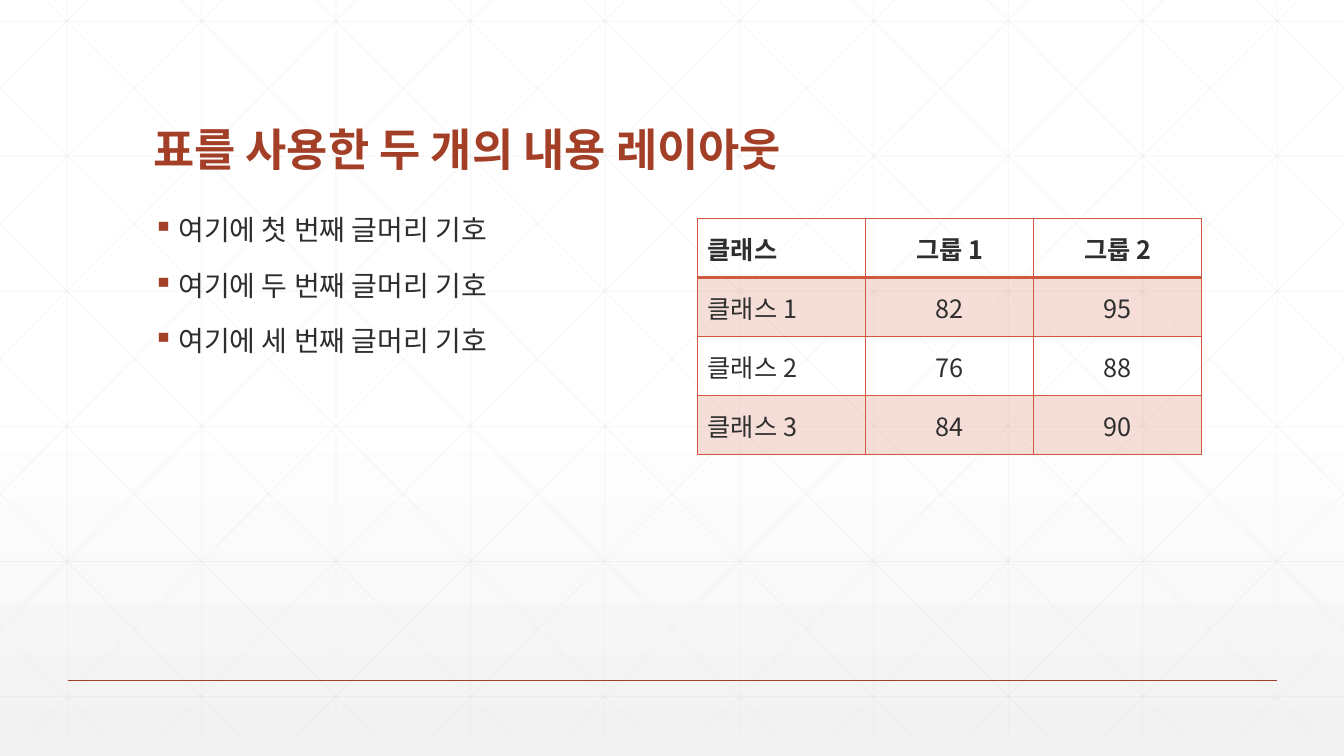
from copy import deepcopy
from dataclasses import dataclass

from pptx import Presentation
from pptx.dml.color import RGBColor
from pptx.enum.shapes import MSO_CONNECTOR
from pptx.enum.text import MSO_ANCHOR, PP_ALIGN
from pptx.oxml.ns import qn
from pptx.oxml.xmlchemy import OxmlElement
from pptx.util import Inches, Pt

STRAIGHT = MSO_CONNECTOR.STRAIGHT
TOP, MIDDLE, BOTTOM = MSO_ANCHOR.TOP, MSO_ANCHOR.MIDDLE, MSO_ANCHOR.BOTTOM
LEFT, CENTER = PP_ALIGN.LEFT, PP_ALIGN.CENTER


@dataclass(frozen=True)
class Theme:
    font: str = "Noto Sans CJK KR"
    brand: str = "A43F27"
    edge: str = "D15A3E"
    ink: str = "2D2E2D"
    mesh: str = "D9D9D9"
    white: str = "FFFFFF"
    grey: str = "F2F2F2"
    title: int = 32
    body: int = 20
    cell: int = 18


THEME = Theme()
WIDE, HIGH = 13.33, 7.5
STEP = 4 / 3


def add(parent, tag, **attrs):
    node = OxmlElement(tag)
    for key, value in attrs.items():
        node.set(key, str(value))
    parent.append(node)
    return node


def fade(node, percent):
    color = next(node.iter(qn("a:srgbClr")))
    add(color, "a:alpha", val=percent * 1000)


def style(para, size, color, bold=False):
    font = para.font
    font.name, font.size, font.bold = THEME.font, Pt(size), bold
    font.color.rgb = RGBColor.from_string(color)
    add(font._rPr, "a:ea", typeface=THEME.font)


def rule(slide, ends, color, width, alpha=None):
    line = slide.shapes.add_connector(STRAIGHT, *map(Inches, ends))
    line.line.color.rgb = RGBColor.from_string(color)
    line.line.width = Pt(width)
    props = line._element.spPr
    if alpha:
        fade(props, alpha)
    add(props, "a:effectLst")


def draw_back(slide):
    fill = slide.background.fill
    fill.gradient()
    fill.gradient_angle = 270
    stops = next(slide._element.iter(qn("a:gsLst")))
    stops.insert(1, deepcopy(stops[0]))
    plan = (0, THEME.white), (0.53, THEME.white), (1, THEME.grey)
    for stop, (place, color) in zip(fill.gradient_stops, plan):
        stop.position = place
        stop.color.rgb = RGBColor.from_string(color)
    fade(stops[-1], 65)


def draw_mesh(slide, box):
    left, top, width, height = box
    right, base = left + width, top + height
    run = 7.46
    lines = []
    for i in range(10):
        x = left + STEP * (i + 0.5)
        lines.append((x, top, x, base))
    for i in range(6):
        y = top + 0.42 + 1.34 * i
        lines.append((left, y, right, y))
    for i in range(-5, 10):
        start = left + 0.25 + STEP * i
        x1, x2 = max(start, left), min(start + run, right)
        y1, y2 = (top + (x - start) * height / run for x in (x1, x2))
        lines.append((x1, y1, x2, y2))
        lines.append((left + right - x1, y1, left + right - x2, y2))
    for ends in lines:
        rule(slide, ends, THEME.mesh, 0.5, 25)


def text_box(slide, box, anchor):
    frame = slide.shapes.add_textbox(*map(Inches, box)).text_frame
    frame.word_wrap = True
    frame.vertical_anchor = anchor
    return frame


def draw_title(slide, box, text):
    para = text_box(slide, box, BOTTOM).paragraphs[0]
    para.text = text
    para.line_spacing = 0.9
    style(para, THEME.title, THEME.brand, True)


def draw_list(slide, box, items):
    frame = text_box(slide, box, TOP)
    frame.text = "\n".join(items)
    for para in frame.paragraphs:
        para.line_spacing = 0.9
        para.space_before = Pt(18)
        props = para._p.get_or_add_pPr()
        props.set("marL", str(Inches(0.25)))
        props.set("indent", str(Inches(-0.25)))
        add(add(props, "a:buClr"), "a:srgbClr", val=THEME.brand)
        add(props, "a:buChar", char="▪")
        style(para, THEME.body, THEME.ink)


def draw_edge(cell, side, width):
    line = add(cell._tc.get_or_add_tcPr(), "a:ln" + side, w=Pt(width))
    add(add(line, "a:solidFill"), "a:srgbClr", val=THEME.edge)


def draw_cell(cell, text, row, col):
    cell.text = text
    cell.vertical_anchor = MIDDLE
    para = cell.text_frame.paragraphs[0]
    para.alignment = CENTER if col else LEFT
    style(para, THEME.cell, THEME.ink, row == 0)
    for side in "LRTB":
        thick = (row, side) in ((0, "B"), (1, "T"))
        draw_edge(cell, side, 2 if thick else 1)
    if row % 2:
        cell.fill.solid()
        cell.fill.fore_color.rgb = RGBColor.from_string(THEME.edge)
        fade(cell._tc.tcPr.find(qn("a:solidFill")), 20)
    else:
        cell.fill.background()


def draw_table(slide, box, data):
    frame = slide.shapes.add_table(len(data), len(data[0]), *map(Inches, box))
    table = frame.table
    table.horz_banding = False
    for r, row in enumerate(data):
        for c, text in enumerate(row):
            draw_cell(table.cell(r, c), text, r, c)


def main():
    deck = Presentation()
    deck.slide_width, deck.slide_height = Inches(WIDE), Inches(HIGH)
    slide = deck.slides.add_slide(deck.slide_layouts[6])
    draw_back(slide)
    draw_mesh(slide, (0, -0.21, WIDE, HIGH))
    rule(slide, (0.67, 6.75, 12.67, 6.75), THEME.brand, 1)
    draw_title(slide, (1.42, 0.55, 10.5, 1.25), "표를 사용한 두 개의 내용 레이아웃")
    items = [f"여기에 {nth} 번째 글머리 기호" for nth in ("첫", "두", "세")]
    draw_list(slide, (1.42, 2.1, 5, 4.17), items)
    data = (
        ("클래스", "그룹 1", "그룹 2"),
        ("클래스 1", "82", "95"),
        ("클래스 2", "76", "88"),
        ("클래스 3", "84", "90"),
    )
    draw_table(slide, (6.92, 2.17, 5, 2.34), data)
    deck.save("out.pptx")


main()
